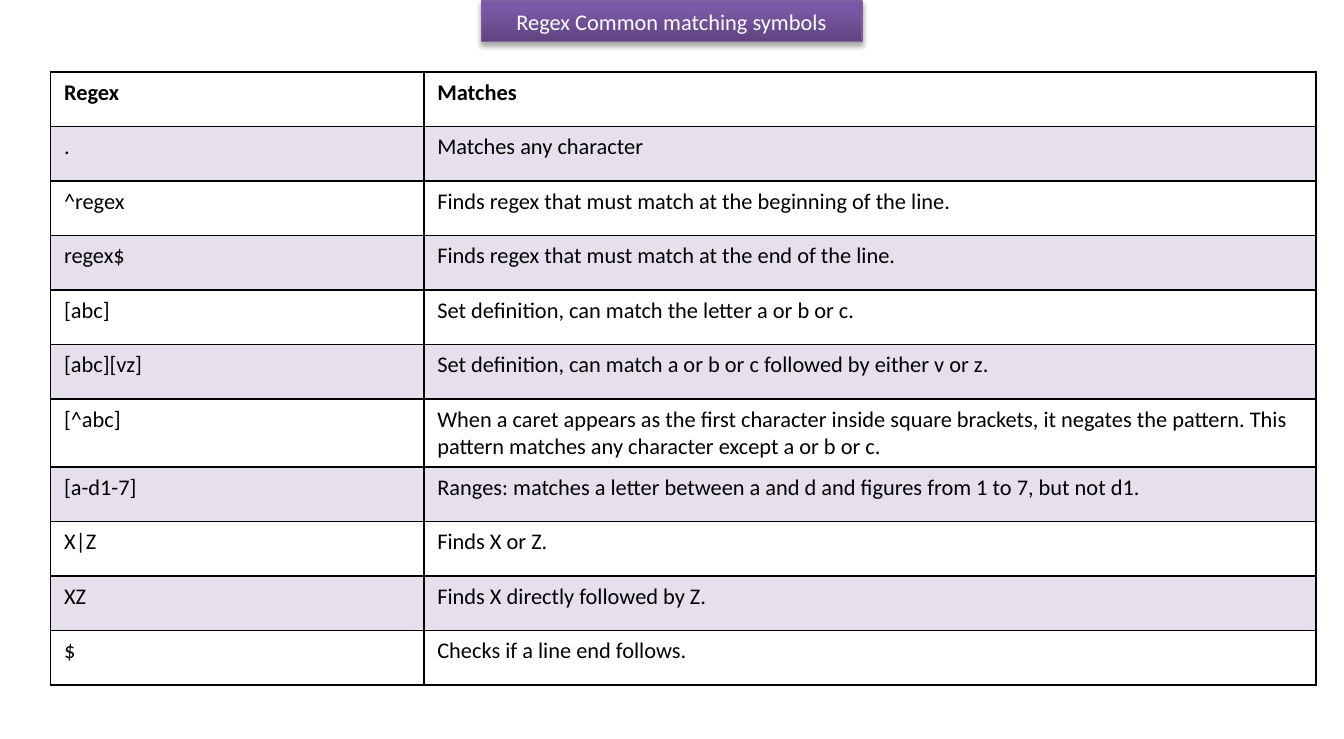
from lxml import etree
from pptx import Presentation
from pptx.dml.color import RGBColor
from pptx.enum.text import MSO_ANCHOR, PP_ALIGN
from pptx.oxml import parse_xml
from pptx.oxml.ns import nsdecls, qn
from pptx.util import Pt

CENTER, MIDDLE, TOP = PP_ALIGN.CENTER, MSO_ANCHOR.MIDDLE, MSO_ANCHOR.TOP
TITLE_ONLY = 5

COLORS = {
    "text": "000000", "title": "FFFFFF", "border": "000000", "band": "8064A2",
    "outline": "7D60A0", "dark": "5F4480", "mid": "7B58A6", "light": "7C57A8",
}
FONT = {"name": "Calibri", "size": Pt(12), "bold": False}

ROWS = [
    ("Regex", "Matches"),
    (".", "Matches any character"),
    ("^regex", "Finds regex that must match at the beginning of the line."),
    ("regex$", "Finds regex that must match at the end of the line."),
    ("[abc]", "Set definition, can match the letter a or b or c."),
    ("[abc][vz]", "Set definition, can match a or b or c followed by either v or z."),
    ("[^abc]", "When a caret appears as the first character inside square brackets, "
               "it negates the pattern. This pattern matches any character except a or b or c."),
    ("[a-d1-7]", "Ranges: matches a letter between a and d and figures from 1 to 7, but not d1."),
    ("X|Z", "Finds X or Z."),
    ("XZ", "Finds X directly followed by Z."),
    ("$", "Checks if a line end follows."),
]


class SlideBuilder:
    def __init__(self, slide):
        self.s = slide

    def style(self, p, color, **changes):
        for name, value in {**FONT, **changes}.items():
            setattr(p.font, name, value)
        p.font.color.rgb = RGBColor.from_string(COLORS[color])

    def title(self, text, left, top, width, height):
        sp = self.s.shapes.title
        sp.left, sp.top, sp.width, sp.height = map(Pt, (left, top, width, height))
        # Gradient, outline and shadow
        stops = "".join(
            f'<a:gs pos="{pos * 1000}"><a:srgbClr val="{COLORS[color]}"/></a:gs>'
            for pos, color in ((0, "dark"), (80, "mid"), (100, "light")))
        spPr = sp.element.spPr
        spPr.append(parse_xml(
            f'<a:gradFill {nsdecls("a")} rotWithShape="1"><a:gsLst>{stops}</a:gsLst>'
            '<a:lin ang="16200000" scaled="0"/></a:gradFill>'))
        sp.line.color.rgb = RGBColor.from_string(COLORS["outline"])
        sp.line.width = Pt(0.75)
        spPr.append(parse_xml(
            f'<a:effectLst {nsdecls("a")}><a:outerShdw blurRad="{Pt(3.1)}" dist="{Pt(1.8)}" '
            'dir="5400000" rotWithShape="0"><a:srgbClr val="000000"><a:alpha val="35000"/>'
            '</a:srgbClr></a:outerShdw></a:effectLst>'))
        # Text
        tf = sp.text_frame
        tf.text = text
        tf.word_wrap = True
        tf.vertical_anchor = MIDDLE
        p = tf.paragraphs[0]
        p.alignment = CENTER
        self.style(p, "title")

    def cell(self, cell, text, header, banded):
        cell.text = text
        cell.vertical_anchor = TOP
        self.style(cell.text_frame.paragraphs[0], "text", bold=header)
        tcPr = cell._tc.get_or_add_tcPr()
        if banded:
            cell.fill.solid()
            cell.fill.fore_color.rgb = RGBColor.from_string(COLORS["band"])
            etree.SubElement(tcPr.find(".//" + qn("a:srgbClr")), qn("a:alpha"), val="20000")
        else:
            cell.fill.background()
        for i, side in enumerate("LRTB"):
            tcPr.insert(i, parse_xml(
                f'<a:ln{side} {nsdecls("a")} w="{Pt(1)}"><a:solidFill>'
                f'<a:srgbClr val="{COLORS["border"]}"/></a:solidFill></a:ln{side}>'))

    def table(self, rows, left, top, widths, row_height):
        frame = self.s.shapes.add_table(
            len(rows), len(widths), Pt(left), Pt(top),
            Pt(sum(widths)), Pt(row_height * len(rows)))
        table = frame.table
        for column, width in zip(table.columns, widths):
            column.width = Pt(width)
        for i, row in enumerate(rows):
            table.rows[i].height = Pt(row_height)
            for j, text in enumerate(row):
                self.cell(table.cell(i, j), text, header=i == 0, banded=i % 2 == 1)


def main():
    prs = Presentation()
    prs.slide_width, prs.slide_height = Pt(720), Pt(396)
    builder = SlideBuilder(prs.slides.add_slide(prs.slide_layouts[TITLE_ONLY]))
    builder.title("Regex Common matching symbols", 257.8, 0.6, 204, 21.8)
    builder.table(ROWS, 27.1, 38.7, (200, 478), 29.2)
    prs.save("out.pptx")


if __name__ == "__main__":
    main()
